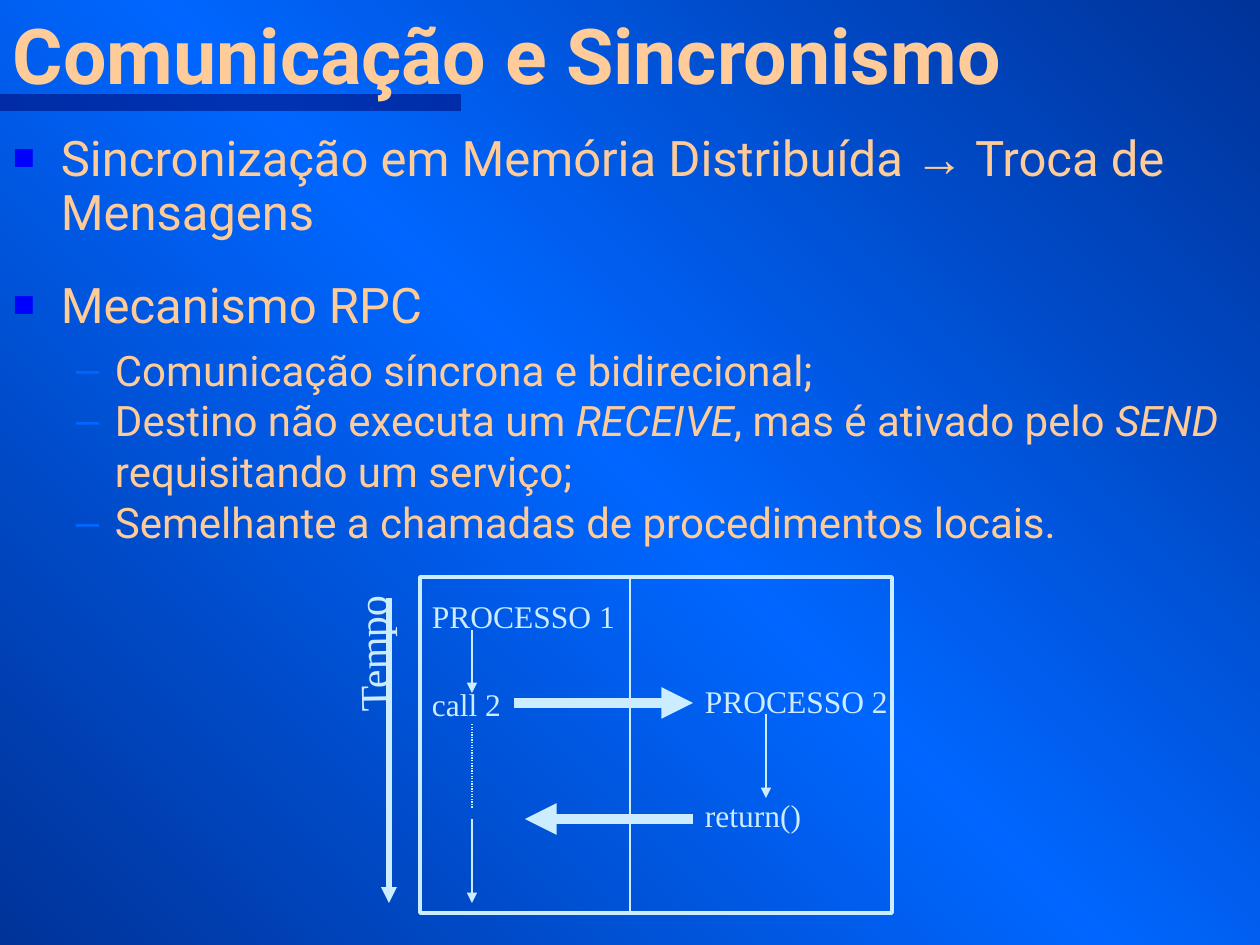
"""Build the slide on communication and synchronism with its RPC timeline."""
import copy
import pptx
import pptx.util
import pptx.dml.color
import pptx.enum.dml
import pptx.enum.shapes
import pptx.enum.text
import pptx.oxml
import pptx.oxml.ns
import lxml.etree

PX = 914400 / 126
THEME = {
    "text": "FFCC99", "diagram": "CCECFF", "bar": "000066",
    "bullet": "0000FF", "dash": "0066FF",
    "background": ["003399", "0066FF", "003399"],
    "sans": "Roboto", "serif": "Times New Roman", "symbol": "Arial",
    "title": 44, "body": 28, "sub": 24, "label": 18,
}
NS = pptx.oxml.ns.nsdecls("a")
rgb = pptx.dml.color.RGBColor.from_string


def add_text(box, paragraphs, size, font, color, bold=None, inset=(0, 0)):
    sp = s.shapes.add_textbox(*[int(v * PX) for v in box])
    tf = sp.text_frame
    tf.word_wrap = True
    tf.margin_left = tf.margin_right = int(inset[0] * PX)
    tf.margin_top = tf.margin_bottom = int(inset[1] * PX)
    for i, runs in enumerate(paragraphs):
        p = tf.add_paragraph() if i else tf.paragraphs[0]
        for text, face, italic in runs:
            r = p.add_run()
            r.text = text
            r.font.name = face or font
            r.font.size = pptx.util.Pt(size)
            r.font.bold = bold
            r.font.italic = italic
            r.font.color.rgb = rgb(color)
    return sp


def add_line(x1, y1, x2, y2, width, arrow=True):
    sp = s.shapes.add_connector(
        pptx.enum.shapes.MSO_CONNECTOR.STRAIGHT, *[int(v * PX) for v in (x1, y1, x2, y2)])
    sp.line.color.rgb = rgb(THEME["diagram"])
    sp.line.width = pptx.util.Pt(width)
    if arrow:
        sp.line._get_or_add_ln().append(pptx.oxml.parse_xml(f'<a:tailEnd {NS} type="triangle"/>'))
    lxml.etree.SubElement(sp._element.spPr, pptx.oxml.ns.qn("a:effectLst"))
    return sp


prs = pptx.Presentation()
prs.slide_width, prs.slide_height = int(1260 * PX), int(945 * PX)
s = prs.slides.add_slide(prs.slide_layouts[6])

fill = s.background.fill
fill.gradient()
fill.gradient_angle = 225
stops = s.element.xpath(".//a:gsLst")[0]
stops.append(copy.deepcopy(stops[0]))
for i, (stop, color) in enumerate(zip(fill.gradient_stops, THEME["background"])):
    stop.position = i / 2
    stop.color.rgb = rgb(color)

bar = s.shapes.add_shape(
    pptx.enum.shapes.MSO_SHAPE.RECTANGLE, *[int(v * PX) for v in (0, 94, 461, 17)])
bar.shadow.inherit = False
bar.fill.solid()
bar.fill.fore_color.rgb = rgb(THEME["bar"])
bar.line.fill.background()
bar.element.xpath(".//p:spPr/a:solidFill/a:srgbClr")[0].append(
    pptx.oxml.parse_xml(f'<a:alpha {NS} val="50000"/>'))

title = add_text((0, -10, 1260, 116), [[("Comunicação e Sincronismo", None, None)]],
                 THEME["title"], THEME["sans"], THEME["text"], True, (13, 6))
title.text_frame.vertical_anchor = pptx.enum.text.MSO_ANCHOR.BOTTOM

levels = [
    {"size": THEME["body"], "left": 48, "hang": 48, "leading": 31,
     "char": "■", "color": THEME["bullet"], "scale": 75},
    {"size": THEME["sub"], "left": 102, "hang": 39, "leading": 29,
     "char": "–", "color": THEME["dash"], "scale": 100},
]
items = [
    (0, 0, [("Sincronização em Memória Distribuída ", None, None),
            ("→", THEME["symbol"], None), (" Troca de Mensagens", None, None)]),
    (0, 22, [("Mecanismo RPC", None, None)]),
    (1, 6, [("Comunicação síncrona e bidirecional;", None, None)]),
    (1, 0, [("Destino não executa um ", None, None), ("RECEIVE", None, True),
            (", mas é ativado pelo ", None, None), ("SEND", None, True),
            (" requisitando um serviço;", None, None)]),
    (1, 0, [("Semelhante a chamadas de procedimentos locais.", None, None)]),
]
body = add_text((0, 126, 1260, 440), [runs for _, _, runs in items],
                THEME["body"], THEME["sans"], THEME["text"], inset=(13, 6))
for p, (level, before, _) in zip(body.text_frame.paragraphs, items):
    style = levels[level]
    p.level = level
    p.line_spacing = pptx.util.Pt(style["leading"])
    p.space_before = pptx.util.Pt(before)
    pPr = p._p.get_or_add_pPr()
    pPr.set("marL", str(int(style["left"] * PX)))
    pPr.set("indent", str(int(-style["hang"] * PX)))
    for xml in (f'<a:buClr {NS}><a:srgbClr val="{style["color"]}"/></a:buClr>',
                f'<a:buSzPct {NS} val="{style["scale"] * 1000}"/>',
                f'<a:buFont {NS} typeface="{THEME["symbol"]}"/>',
                f'<a:buChar {NS} char="{style["char"]}"/>'):
        pPr.append(pptx.oxml.parse_xml(xml))
    for r in p.runs:
        r.font.size = pptx.util.Pt(style["size"])

frame = s.shapes.add_shape(
    pptx.enum.shapes.MSO_SHAPE.RECTANGLE, *[int(v * PX) for v in (420, 577, 472, 336)])
frame.shadow.inherit = False
frame.fill.background()
frame.line.color.rgb = rgb(THEME["diagram"])
frame.line.width = pptx.util.Pt(2.25)
add_line(630, 577, 630, 913, 0.75, arrow=False)

for x, y, text in [(432, 597, "PROCESSO 1"), (432, 685, "call 2"),
                   (705, 682, "PROCESSO 2"), (705, 796, "return()")]:
    add_text((x, y, 190, 36), [[(text, None, None)]],
             THEME["label"], THEME["serif"], THEME["diagram"])

for line in [(472, 630, 472, 693, 1.5), (766, 714, 766, 798, 1.5),
             (514, 703, 693, 703, 6), (693, 819, 525, 819, 6),
             (472, 819, 472, 903, 1.5), (389, 598, 389, 903, 3)]:
    add_line(*line)
wait = add_line(472, 724, 472, 809, 0.75, arrow=False)
wait.line.dash_style = pptx.enum.dml.MSO_LINE.ROUND_DOT

time = add_text((293, 614, 158, 63), [[("Tempo", None, None)]],
                THEME["sub"], THEME["serif"], THEME["diagram"], inset=(13, 6))
time.rotation = 268.9

prs.save("out.pptx")
